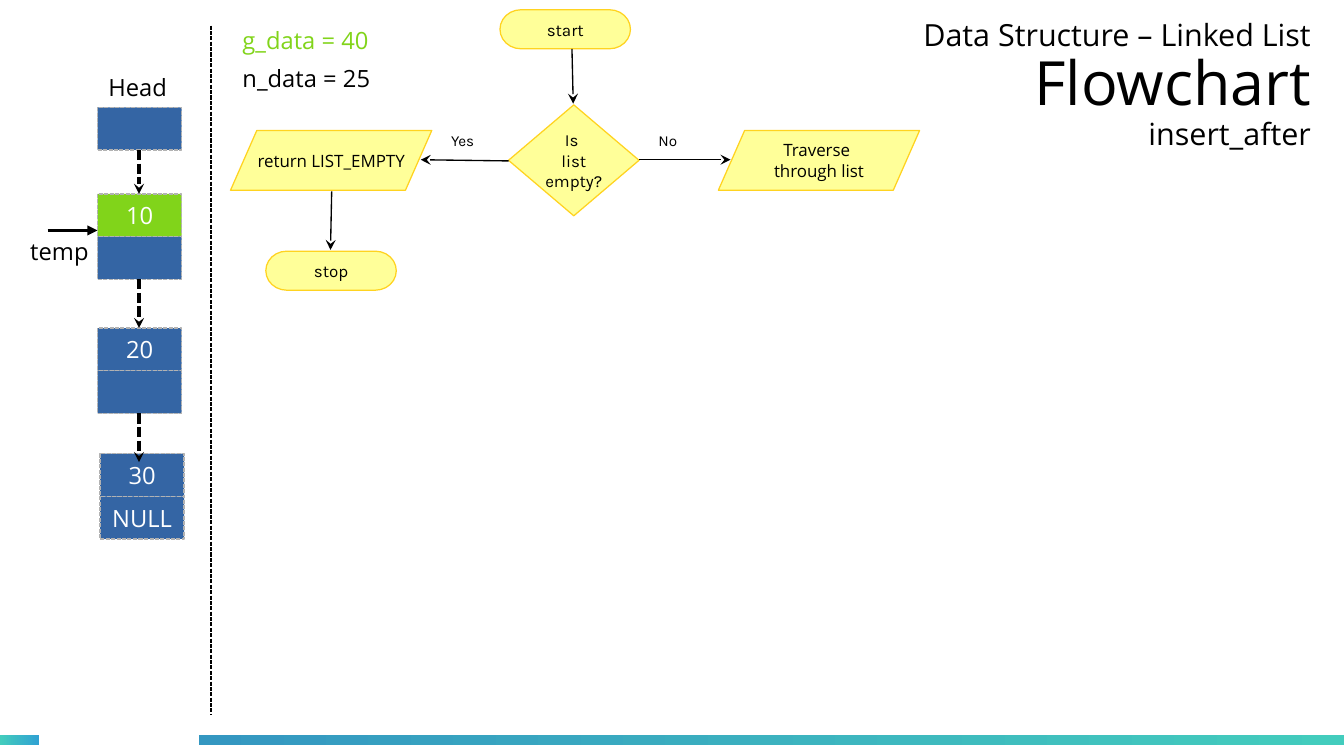
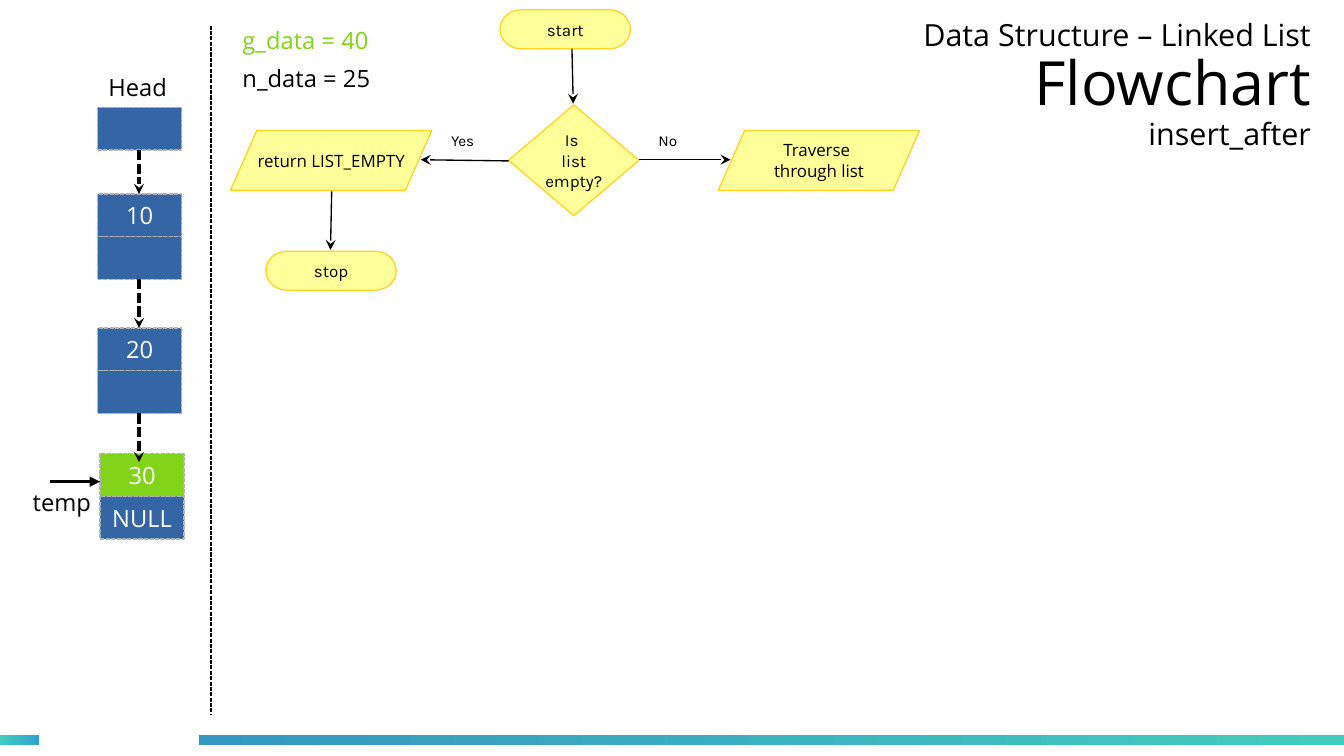
from lxml import etree
from pptx import Presentation, util as u
from pptx.dml.color import RGBColor
from pptx.enum import dml, shapes, text
from pptx.oxml.ns import qn

BLACK, WHITE = "000000", "FFFFFF"
BLUE, GREEN, GRAY = "3465A4", "81D41A", "B2B2B2"
CREAM, GOLD, TEAL = "FFFF99", "FFD320", "43CCBD"
SANS, KARLA = "Open Sans", "Karla"
WIDE, HIGH = 11.02, 6.2
CELL_W, CELL_H = 0.69, 0.35
KIND = shapes.MSO_SHAPE
ALIGN = text.PP_ALIGN
MID = text.MSO_ANCHOR.MIDDLE
DASH = dml.MSO_LINE.SQUARE_DOT


def color(code):
    return RGBColor.from_string(code)


def inches(*sizes):
    return [u.Inches(size) for size in sizes]


def style(frame, size, font, ink, align):
    for para in frame.paragraphs:
        para.alignment = align
        for run in para.runs:
            run.font.size = u.Pt(size)
            run.font.name = font
            run.font.color.rgb = color(ink)


def label(slide, box, words, size=14, font=SANS, ink=BLACK,
          align=ALIGN.LEFT, wrap=True):
    frame = slide.shapes.add_textbox(*inches(*box)).text_frame
    frame.word_wrap = wrap
    frame.text = words
    style(frame, size, font, ink, align)
    return frame


def block(slide, kind, box, fill, edge, words="", size=14, font=SANS, ink=WHITE):
    shape = slide.shapes.add_shape(kind, *inches(*box))
    shape.shadow.inherit = False
    shape.fill.solid()
    shape.fill.fore_color.rgb = color(fill)
    shape.line.color.rgb = color(edge)
    shape.line.width = u.Pt(0)
    frame = shape.text_frame
    frame.word_wrap = False
    frame.vertical_anchor = MID
    frame.text = words
    style(frame, size, font, ink, ALIGN.CENTER)
    return shape


def line(slide, start, end, width=0.79, head=None, dash=None):
    link = slide.shapes.add_connector(
        shapes.MSO_CONNECTOR.STRAIGHT, *inches(*start, *end))
    link.line.color.rgb = color(BLACK)
    link.line.width = u.Pt(width)
    if dash:
        link.line.dash_style = dash
    props = link._element.spPr
    if head:
        etree.SubElement(props.find(qn("a:ln")), qn("a:tailEnd"), type=head)
    etree.SubElement(props, qn("a:effectLst"))


def bar(slide, box, left, right):
    shape = slide.shapes.add_shape(KIND.RECTANGLE, *inches(*box))
    shape.shadow.inherit = False
    shape.line.fill.background()
    shape.fill.gradient()
    shape.fill.gradient_angle = 0
    for stop, code in zip(shape.fill.gradient_stops, (left, right)):
        stop.color.rgb = color(code)


def frame_page(slide):
    bar(slide, (0, HIGH - 0.17, 0.32, 0.08), TEAL, "30A2D2")
    bar(slide, (1.63, HIGH - 0.17, WIDE - 1.63, 0.08), "3497C1", TEAL)
    title = label(slide, (7.29, -0.02, 3.46, 1.45),
                  "Data Structure – Linked List\vFlowchart\vinsert_after",
                  18, align=ALIGN.RIGHT)
    title.margin_left = title.margin_right = 0
    title.margin_top = title.margin_bottom = 0
    title.vertical_anchor = MID
    para = title.paragraphs[0]
    para.line_spacing = 0.9
    para.runs[1].font.size = u.Pt(36)
    line(slide, (1.73, 0.21), (1.73, 5.86), dash=DASH)


def flow(slide, x, y):
    def step(kind, dx, dy, wide, high, words, font=KARLA):
        shape = block(slide, kind, (x + dx, y + dy, wide, high),
                      CREAM, GOLD, words, 10, font, BLACK)
        if kind == KIND.PARALLELOGRAM:
            shape.adjustments[0] = 0.44

    step(KIND.FLOWCHART_TERMINATOR, 2.21, 0, 1.07, 0.32, "start")
    step(KIND.FLOWCHART_DECISION, 2.28, 0.78, 1.07, 0.91, "Is \nlist\nempty?")
    step(KIND.FLOWCHART_TERMINATOR, 0.29, 1.98, 1.07, 0.32, "stop")
    for dx, words in ((0, "return LIST_EMPTY"), (4, "Traverse \nthrough list")):
        step(KIND.PARALLELOGRAM, dx, 0.99, 1.65, 0.49, words, SANS)
    for dx, wide, words in ((1.71, 0.61, "Yes"), (3.41, 0.43, "No")):
        label(slide, (x + dx, y + 0.95, wide, 0.32), words, 9, KARLA)
    for ax, ay, bx, by in ((2.8, 0.32, 2.81, 0.77), (2.28, 1.24, 1.56, 1.23),
                           (3.35, 1.23, 4.1, 1.23), (0.83, 1.49, 0.82, 1.97)):
        line(slide, (x + ax, y + ay), (x + bx, y + by), head="stealth")


def node(slide, x, y, cells, hot):
    for row, words in enumerate(cells):
        fill = GREEN if words and words == hot else BLUE
        cell = block(slide, KIND.RECTANGLE,
                     (x, y + row * CELL_H, CELL_W, CELL_H), fill, GRAY, words)
        cell.line.width = u.Pt(0.79)
        cell.line.dash_style = DASH


def chain(slide, x, y, hot):
    label(slide, (x - 0.01, y - 0.33, 0.74, 0.36), "Head", wrap=False)
    nodes = ((0, 0, [""]), (0, 0.71, ["10", ""]), (0, 1.81, ["20", ""]),
             (0.02, 2.84, ["30", "NULL"]))
    for dx, dy, cells in nodes:
        node(slide, x + dx, y + dy, cells, hot)
    for top, end in ((0.35, 0.71), (1.41, 1.81), (2.51, 2.91)):
        line(slide, (x + 0.34, y + top), (x + 0.34, y + end), 0, "stealth", DASH)


def mark(slide, x, y):
    line(slide, (x - 0.41, y), (x, y), 0, "triangle")
    label(slide, (x - 0.65, y, 0.8, 0.38), "temp")


def build(deck, hot, spot):
    slide = deck.slides.add_slide(deck.slide_layouts[6])
    frame_page(slide)
    flow(slide, 1.89, 0.08)
    chain(slide, 0.8, 0.88, hot)
    label(slide, (1.89, 0.16, 1.57, 0.39), "g_data = 40", ink=GREEN)
    label(slide, (1.89, 0.47, 1.34, 0.39), "n_data = 25")
    mark(slide, *spot)


def main():
    deck = Presentation()
    deck.slide_width, deck.slide_height = inches(WIDE, HIGH)
    for hot, spot in (("10", (0.8, 1.89)), ("30", (0.82, 3.95))):
        build(deck, hot, spot)
    deck.save("out.pptx")


if __name__ == "__main__":
    main()
